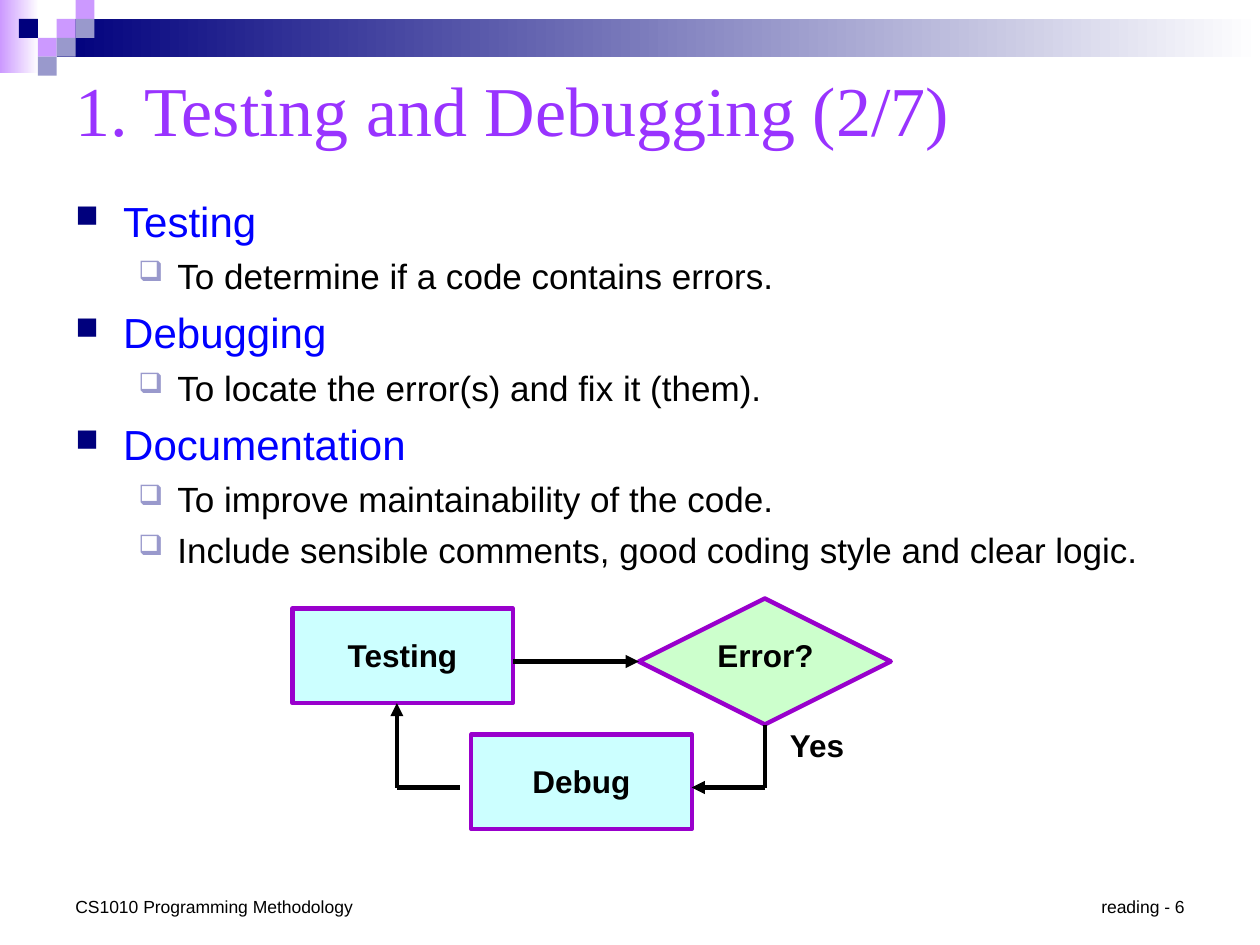
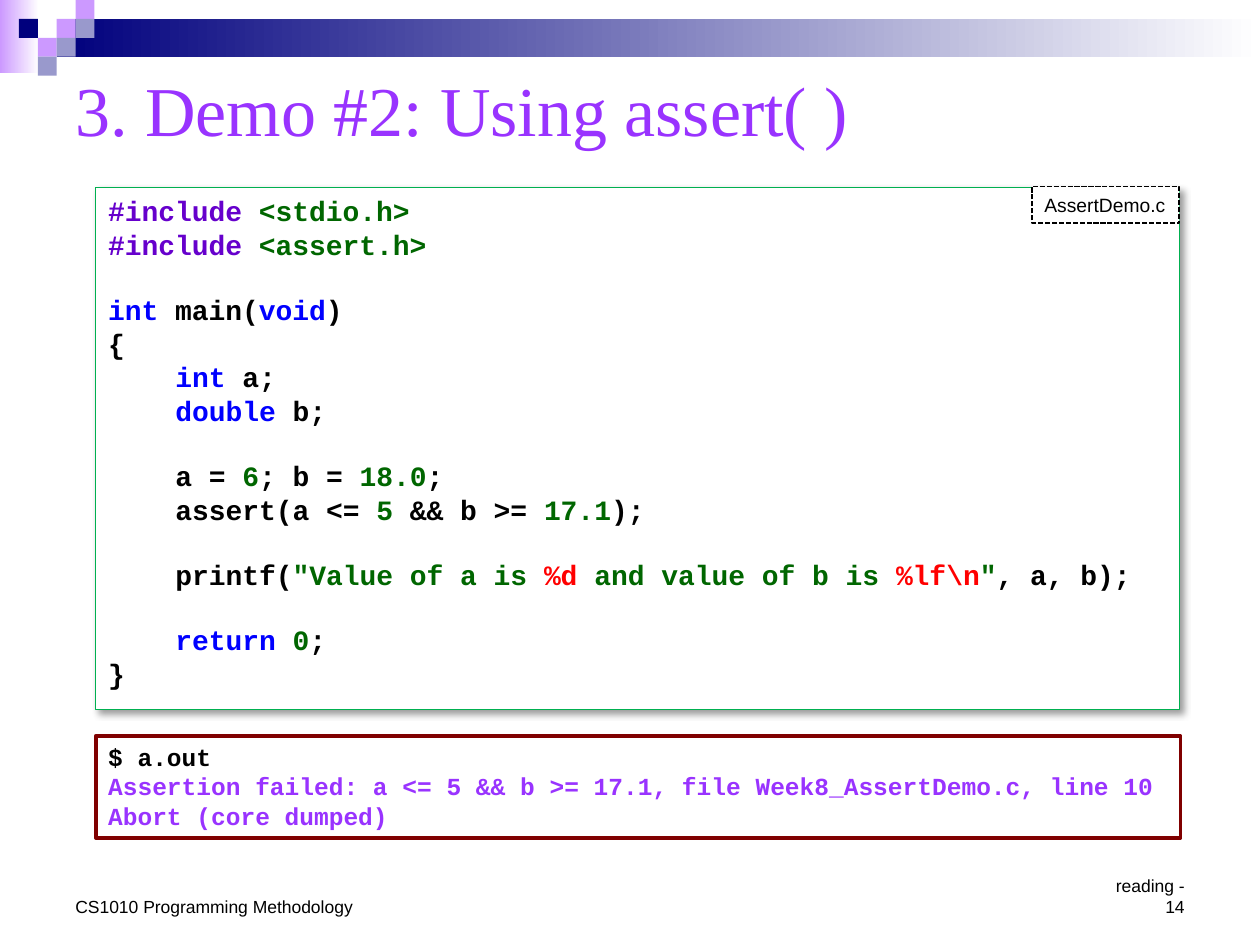
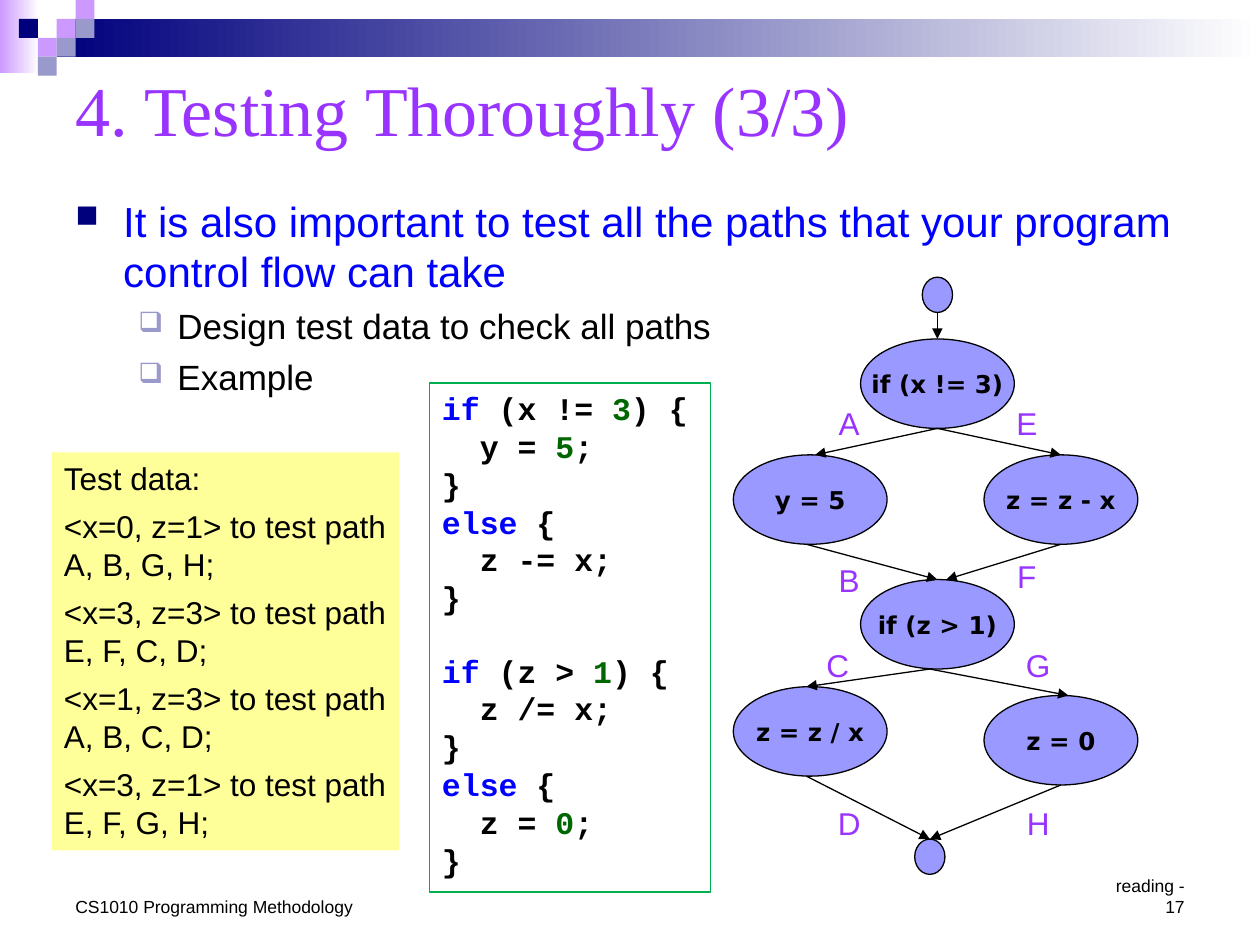
from lxml import etree
from pptx import Presentation, util as u
from pptx.dml.color import RGBColor
from pptx.enum import dml, shapes, text
from pptx.oxml import ns

# ---- Shared style: 100 px to the inch ----
PX = 9144
NAVY, LILAC, GREY_BLUE = "00007D", "CC99FF", "9999CC"
BLACK, WHITE, PURPLE, BLUE = "000000", "FFFFFF", "9933FF", "0000FF"
GREEN, RED, VIOLET, LIME = "006600", "FF0000", "6600CC", "00B050"
SHAPE, ALIGN, ANCHOR = shapes.MSO_SHAPE, text.PP_ALIGN, text.MSO_ANCHOR
FOOTER = "CS1010 Programming Methodology"
SQUARE = 15
SQUARES = [(3, 1, LILAC), (4, 0, LILAC), (4, 1, GREY_BLUE), (2, 2, LILAC),
           (1, 1, NAVY), (3, 2, GREY_BLUE), (2, 3, GREY_BLUE)]
# Per level: size, colour, left margin, hanging, space before, bullet, its colour, its percent
LEVELS = [(24, BLUE, 38, 38, 6, "■", NAVY, 75),
          (20, BLACK, 81, 31, 5, "❑", GREY_BLUE, 80)]

# ---- Content: slide 1 ----
TERMS = [(0, "Testing"), (1, "To determine if a code contains errors."),
         (0, "Debugging"), (1, "To locate the error(s) and fix it (them)."),
         (0, "Documentation"), (1, "To improve maintainability of the code."),
         (1, "Include sensible comments, good coding style and clear logic.")]
STEPS = [("Testing", SHAPE.RECTANGLE, (232, 483, 175, 75), "CCFFFF", (261, 500)),
         ("Error?", SHAPE.DIAMOND, (507, 475, 200, 100), "CCFFCC", (549, 500)),
         ("Debug", SHAPE.RECTANGLE, (374, 583, 175, 75), "CCFFFF", (403, 600))]

# ---- Content: slide 2. Code line: (indent in characters, spans); None leaves a line free ----
ASSERT_CODE = [
    (0, [("#include ", VIOLET), ("<stdio.h>", GREEN)]),
    (0, [("#include ", VIOLET), ("<assert.h>", GREEN)]),
    None,
    (0, [("int ", BLUE), "main(", ("void", BLUE), ")"]),
    (0, ["{"]),
    (4, [("int ", BLUE), "a;"]),
    (4, [("double", BLUE), " b;"]),
    None,
    (4, ["a = ", ("6", GREEN), "; b = ", ("18.0", GREEN), ";"]),
    (4, ["assert(a <= ", ("5", GREEN), " && b >= ", ("17.1", GREEN), ");"]),
    None,
    (4, ["printf(", ('"Value of a is ', GREEN), ("%d ", RED),
         ("and value of b is ", GREEN), ("%lf\\n", RED), ('"', GREEN), ", a, b);"]),
    None,
    (4, [("return ", BLUE), ("0", GREEN), ";"]),
    (0, ["}"]),
]
RUN_OUTPUT = [
    "$ a.out",
    [("Assertion failed: a <= 5 && b >= 17.1, file Week8_AssertDemo.c, line 10", PURPLE)],
    [("Abort (core dumped)", PURPLE)],
]

# ---- Content: slide 3 ----
PATHS = [(0, "It is also important to test all the paths that your program "
             "control flow can take"),
         (1, "Design test data to check all paths"), (1, "Example")]
BRANCH_CODE = [
    (0, [("if ", BLUE), "(x != ", ("3", GREEN), ") {"]),
    (2, ["y = ", ("5", GREEN), ";"]),
    (0, ["}"]),
    (0, [("else", BLUE), " {"]),
    (2, ["z -= x;"]),
    (0, ["}"]),
    None,
    (0, [("if", BLUE), " (z > ", ("1", GREEN), ") {"]),
    (2, ["z /= x;"]),
    (0, ["}"]),
    (0, [("else ", BLUE), "{"]),
    (2, ["z = ", ("0", GREEN), ";"]),
    (0, ["}"]),
]
TEST_DATA = ["Test data:"] + [
    f"<x={x}, z={z}> to test path {route};"
    for x, z, route in [(0, 1, "A, B, G, H"), (3, 3, "E, F, C, D"),
                        (1, 3, "A, B, C, D"), (3, 1, "E, F, G, H")]]
NODES = [("if (x != 3)", 683, 269), ("y = 5", 582, 361), ("z = z - x", 781, 361),
         ("if (z > 1)", 683, 460), ("z = z / x", 582, 545), ("z = 0", 781, 552)]
ENDS = [(732, 220), (726, 666)]
EDGES = [(744, 248, 744, 269), (744, 340, 647, 361), (744, 340, 842, 361),
         (640, 432, 744, 460), (842, 432, 751, 460), (738, 531, 640, 545),
         (738, 531, 848, 552), (640, 616, 738, 666), (842, 623, 738, 666)]
EDGE_NAMES = [("A", 649, 320), ("B", 649, 444), ("C", 640, 512), ("D", 649, 637),
              ("E", 790, 320), ("F", 790, 441), ("G", 799, 512), ("H", 799, 637)]


# ---- Helpers ----
def rgb(value):
    return RGBColor.from_string(value)


def add_xml(parent, tag, **attributes):
    return etree.SubElement(parent, ns.qn(tag), attributes)


def put_text(box, lines, size=18, font="Arial", color=BLACK, bold=False, align=ALIGN.LEFT,
             anchor=ANCHOR.TOP, inset=None, wrap=True, after=None):
    """Write lines (strings or lists of spans) and return the paragraphs."""
    frame = box.text_frame
    frame.word_wrap, frame.vertical_anchor = wrap, anchor
    if inset is not None:
        frame.margin_left = frame.margin_right = inset * PX
        frame.margin_top = frame.margin_bottom = inset * PX
    for index, line in enumerate(lines):
        para = frame.add_paragraph() if index else frame.paragraphs[0]
        para.alignment = align
        if after:
            para.space_after = u.Pt(after)
        for span in [line] if isinstance(line, str) else line:
            words, tint = (span, color) if isinstance(span, str) else span
            run = para.add_run()
            run.text = words
            run.font.size, run.font.name, run.font.bold = u.Pt(size), font, bold
            run.font.color.rgb = rgb(tint)
    return frame.paragraphs


def add_label(page, at, words, **style):
    box = page.shapes.add_textbox(*(v * PX for v in at))
    put_text(box, [words], **style)


def add_box(page, at, fill, line=None, width=0.75, kind=SHAPE.RECTANGLE):
    """Add a flat shape; a pair of fill colours makes a gradient to the right."""
    box = page.shapes.add_shape(kind, *(v * PX for v in at))
    box.shadow.inherit = False
    if isinstance(fill, tuple):
        box.fill.gradient()
        box.fill.gradient_angle = 0
        for stop, color in zip(box.fill.gradient_stops, fill):
            stop.color.rgb = rgb(color)
    else:
        box.fill.solid()
        box.fill.fore_color.rgb = rgb(fill)
    if line:
        box.line.color.rgb = rgb(line)
        box.line.width = u.Pt(width)
    else:
        box.line.fill.background()
    return box


def add_line(page, ends, width=0.75, arrow=True):
    line = page.shapes.add_connector(shapes.MSO_CONNECTOR.STRAIGHT, *(v * PX for v in ends))
    line.line.color.rgb = rgb(BLACK)
    line.line.width = u.Pt(width)
    if arrow:
        add_xml(line.line._get_or_add_ln(), "a:tailEnd", type="triangle")
    add_xml(line._element.spPr, "a:effectLst")
    return line


def add_shadow(box):
    effects = box._element.spPr.find(ns.qn("a:effectLst"))
    shadow = add_xml(effects, "a:outerShdw", blurRad=str(u.Pt(4)), dist=str(u.Pt(3)),
                     dir="2700000", algn="tl", rotWithShape="0")
    add_xml(add_xml(shadow, "a:srgbClr", val=BLACK), "a:alpha", val="40000")


def put_code(box, code, size):
    """Write code lines, with indents as margins and free lines as spacing."""
    lines = [line for line in code if line]
    paras = put_text(box, [spans for _, spans in lines], size, "Courier New", bold=True)
    after_gap = [line for gap, line in zip(code, code[1:]) if gap is None]
    for para, line in zip(paras, lines):
        para._p.get_or_add_pPr().set("marL", str(u.Pt(line[0] * size * 0.6)))
        if line in after_gap:
            para.space_before = u.Pt(size * 1.13)


def add_bullets(page, items, height):
    box = page.shapes.add_textbox(*(v * PX for v in (50, 150, 900, height)))
    paras = put_text(box, [words for _, words in items])
    for para, (level, _) in zip(paras, items):
        size, color, margin, hanging, before, mark, mark_color, percent = LEVELS[level]
        para.level = level
        para.space_before = u.Pt(before)
        para.runs[0].font.size = u.Pt(size)
        para.runs[0].font.color.rgb = rgb(color)
        props = para._p.get_or_add_pPr()
        props.set("marL", str(margin * PX))
        props.set("indent", str(-hanging * PX))
        add_xml(add_xml(props, "a:buClr"), "a:srgbClr", val=mark_color)
        add_xml(props, "a:buSzPct", val=str(percent * 1000))
        add_xml(props, "a:buChar", char=mark)


def add_page(deck, title, number):
    """Start a slide with the band, squares, title and footers."""
    page = deck.slides.add_slide(deck.slide_layouts[6])
    add_box(page, (0, 0, 31, 58), (LILAC, WHITE))
    add_box(page, (45, 15, 955, 30), (NAVY, WHITE))
    for column, row, color in SQUARES:
        add_box(page, (column * SQUARE, row * SQUARE, SQUARE, SQUARE), color)
    add_label(page, (50, 42, 900, 88), title, size=40, font="Times New Roman",
              color=PURPLE, anchor=ANCHOR.MIDDLE)
    add_label(page, (50, 706, 242, 27), FOOTER, size=10, anchor=ANCHOR.BOTTOM)
    add_label(page, (862, 706, 88, 27), f"reading - {number}", size=10,
              align=ALIGN.RIGHT, anchor=ANCHOR.BOTTOM)
    return page


# ---- Slides ----
def build_testing(deck):
    page = add_page(deck, "1. Testing and Debugging (2/7)", 6)
    add_bullets(page, TERMS, 309)
    steps = {}
    for name, kind, at, fill, (left, top) in STEPS:
        steps[name] = add_box(page, at, fill, "9900CC", 2.5, kind)
        add_label(page, (left, top, 117, 40), name, bold=True, align=ALIGN.CENTER)
    add_label(page, (607, 575, 83, 32), "Yes", bold=True, align=ALIGN.CENTER, inset=1)
    to_error = add_line(page, (407, 525, 507, 525), 2.5)
    to_error.end_connect(steps["Error?"], 1)
    yes_down = add_line(page, (607, 575, 607, 625), 2.5, arrow=False)
    yes_down.begin_connect(steps["Error?"], 2)
    add_line(page, (607, 625, 549, 625), 2.5)
    add_line(page, (365, 625, 315, 625), 2.5, arrow=False)
    add_line(page, (315, 625, 315, 558), 2.5)


def build_assert(deck):
    page = add_page(deck, "3. Demo #2: Using assert( )", 14)
    output = add_box(page, (76, 584, 861, 81), WHITE, "800000", 2)
    put_text(output, RUN_OUTPUT, 14, "Courier New", bold=True)
    listing = add_box(page, (76, 149, 860, 414), WHITE, LIME)
    add_shadow(listing)
    put_code(listing, ASSERT_CODE, 16)
    file_tag = add_box(page, (819, 148, 117, 29), WHITE, BLACK, 1)
    file_tag.line.dash_style = dml.MSO_LINE.SQUARE_DOT
    put_text(file_tag, ["AssertDemo.c"], 11, anchor=ANCHOR.MIDDLE)


def build_paths(deck):
    page = add_page(deck, "4. Testing Thoroughly (3/3)", 17)
    put_code(add_box(page, (341, 304, 223, 404), WHITE, LIME), BRANCH_CODE, 18)
    for words, left, top in NODES:
        node = add_box(page, (left, top, 122, 71), "9999FF", BLACK, kind=SHAPE.OVAL)
        put_text(node, [words], 14, "DejaVu Sans", bold=True, align=ALIGN.CENTER,
                 anchor=ANCHOR.MIDDLE, wrap=False)
    for left, top in ENDS:
        add_box(page, (left, top, 24, 28), "9999FF", BLACK, kind=SHAPE.OVAL)
    for ends in EDGES:
        add_line(page, ends)
    for name, left, top in EDGE_NAMES:
        add_label(page, (left, top, 50, 32), name, color=PURPLE, align=ALIGN.CENTER, inset=1)
    put_text(add_box(page, (41, 359, 276, 316), "FFFF99"), TEST_DATA, after=6)
    add_bullets(page, PATHS, 492)


def main():
    deck = Presentation()
    deck.slide_width, deck.slide_height = 1000 * PX, 750 * PX
    build_testing(deck)
    build_assert(deck)
    build_paths(deck)
    deck.save("out.pptx")


if __name__ == "__main__":
    main()
